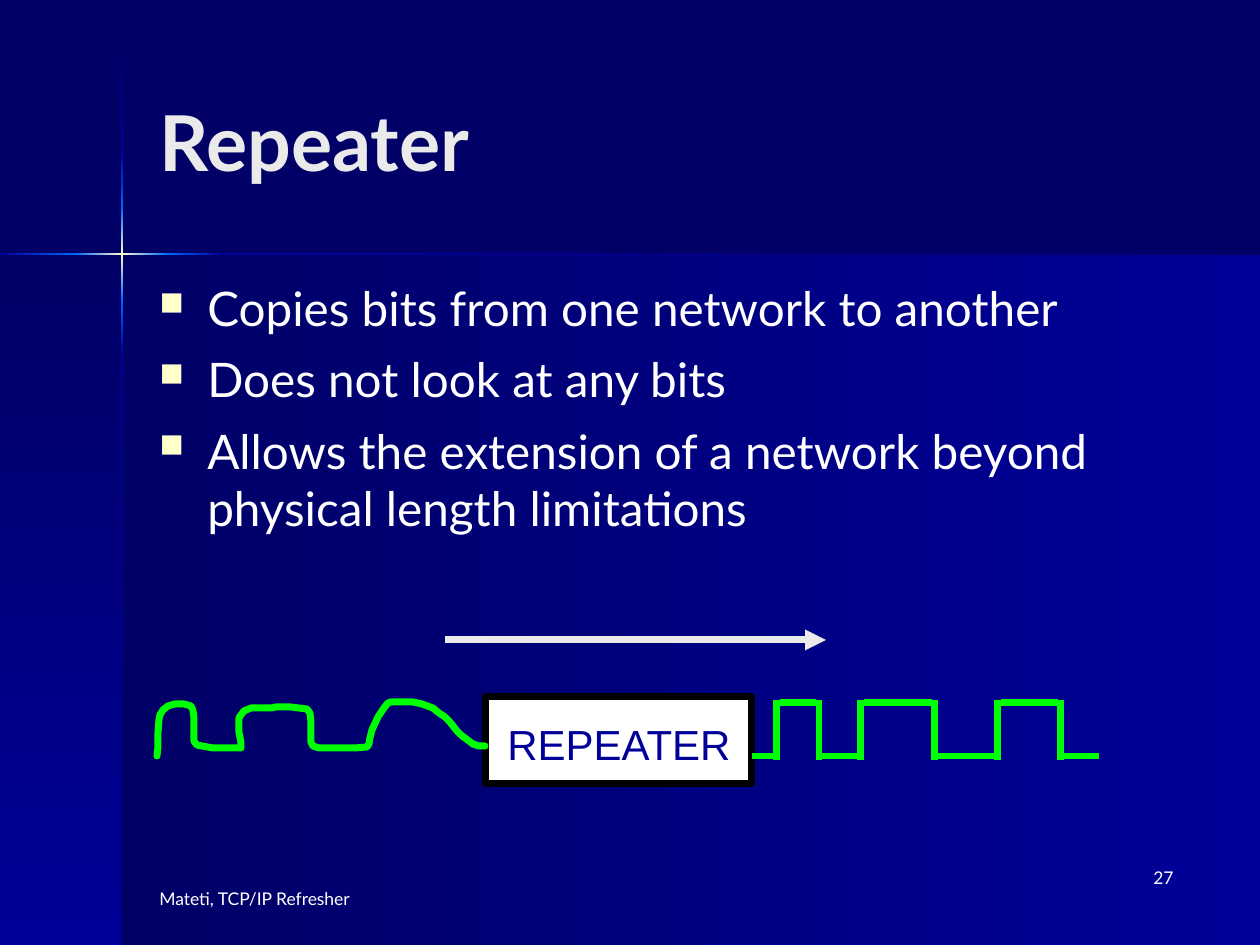
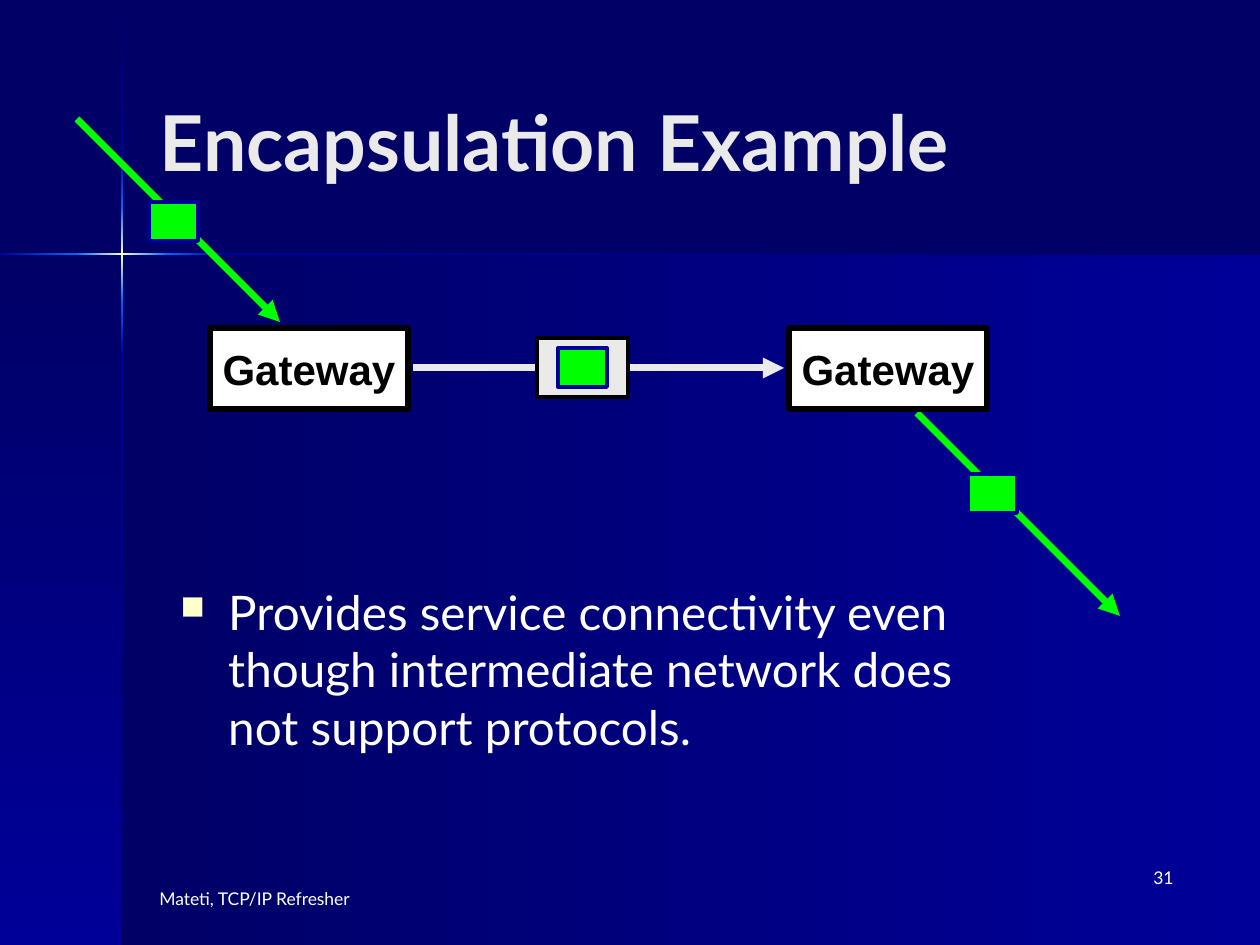
"""Build the repeater and encapsulation slides of a networking deck."""
from dataclasses import dataclass

from pptx import Presentation, util as u
from pptx.dml.color import RGBColor
from pptx.enum import shapes, text
from pptx.oxml import ns, parse_xml


@dataclass(frozen=True)
class Theme:
    night: str = "000066"
    navy: str = "000099"
    glow: str = "0066FF"
    cream: str = "FFFFCC"
    pale: str = "EAEAEA"
    white: str = "FFFFFF"
    black: str = "000000"
    green: str = "00FF00"
    font: str = "Lato"
    label_font: str = "Arial"
    title: float = 44
    body: float = 27.2
    label: float = 24
    small: float = 10
    stroke: float = 4


T = Theme()
PX = u.Inches(1) / 126


def box(s, at, fill=None, edge=T.black, weight=2, lines=(), size=T.label, font=T.font,
        color=T.white, bold=False, align=text.PP_ALIGN.LEFT, wrap=True, bullet=False):
    at = [round(v * PX) for v in at]
    if fill:
        sp = s.shapes.add_shape(shapes.MSO_SHAPE.RECTANGLE, *at)
        sp.shadow.inherit = False
        sp.fill.solid()
        sp.fill.fore_color.rgb = RGBColor.from_string(fill)
        sp.line.color.rgb = RGBColor.from_string(edge)
        sp.line.width = u.Pt(weight)
    else:
        sp = s.shapes.add_textbox(*at)
    if not lines:
        return
    tf = sp.text_frame
    tf.word_wrap = wrap
    tf.text = "\n".join(lines)
    for p in tf.paragraphs:
        p.alignment = align
        f = p.runs[0].font
        f.size, f.name, f.bold = u.Pt(size), font, bold
        f.color.rgb = RGBColor.from_string(color)
        if bullet:
            p.space_before = u.Pt(8)
            pPr = p._p.get_or_add_pPr()
            pPr.set("marL", str(u.Inches(0.38)))
            pPr.set("indent", str(-u.Inches(0.38)))
            for xml in (f'<a:buClr {A}><a:srgbClr val="{T.cream}"/></a:buClr>',
                        f'<a:buSzPct {A} val="70000"/>', f'<a:buChar {A} char="■"/>'):
                pPr.append(parse_xml(xml))


def line(s, x1, y1, x2, y2, color=T.green, arrow=False):
    ends = [round(v * PX) for v in (x1, y1, x2, y2)]
    cn = s.shapes.add_connector(shapes.MSO_CONNECTOR.STRAIGHT, *ends)
    cn.line.color.rgb = RGBColor.from_string(color)
    cn.line.width = u.Pt(T.stroke)
    spPr = cn.element.spPr
    if arrow:
        spPr.find(ns.qn("a:ln")).append(parse_xml(f'<a:tailEnd {A} type="triangle"/>'))
    spPr.append(parse_xml(f"<a:effectLst {A}/>"))


A = ns.nsdecls("a")
DOWN, LEFTWARD = 90, 180
BANDS = [
    ((122, 255, 1138, 690), (T.navy, T.night), LEFTWARD),
    ((0, 255, 122, 690), (T.night, T.navy), DOWN),
    ((121, 1, 2, 151), (T.night, T.navy), DOWN),
    ((121, 355, 2, 590), (T.navy, T.night), DOWN),
    ((223, 253, 1037, 2), (T.night, T.navy), LEFTWARD),
    ((121, 300, 2, 55), (T.glow, T.navy), DOWN),
    ((121, 152, 2, 56), (T.navy, T.glow), DOWN),
    ((121, 208, 2, 92), (T.glow, T.cream, T.glow), DOWN),
    ((0, 253, 76, 2), (T.glow, T.navy), LEFTWARD),
    ((168, 253, 55, 2), (T.navy, T.glow), LEFTWARD),
    ((76, 253, 92, 2), (T.glow, T.cream, T.glow), LEFTWARD),
]

prs = Presentation()
prs.slide_width, prs.slide_height = u.Inches(10), u.Inches(7.5)
master = prs.slide_master
master.background.fill.solid()
master.background.fill.fore_color.rgb = RGBColor.from_string(T.night)

slides = []
for title, number in (("Repeater", "27"), ("Encapsulation Example", "31")):
    s = prs.slides.add_slide(prs.slide_layouts[5])
    slides.append(s)
    sp = s.shapes.title
    sp.left, sp.top, sp.width, sp.height = [round(v * PX) for v in (147, 42, 1040, 198)]
    tf = sp.text_frame
    tf.text = title
    tf.auto_size = text.MSO_AUTO_SIZE.NONE
    tf.vertical_anchor = text.MSO_ANCHOR.MIDDLE
    p = tf.paragraphs[0]
    p.alignment = text.PP_ALIGN.LEFT
    f = p.runs[0].font
    f.size, f.name, f.bold = u.Pt(T.title), T.font, True
    f.color.rgb = RGBColor.from_string(T.pale)
    box(s, (147, 882, 336, 63), lines=["Mateti, TCP/IP Refresher"], size=T.small)
    box(s, (924, 861, 262, 63), lines=[number], size=T.small, align=text.PP_ALIGN.RIGHT)

repeater, encapsulation = slides

for i, (at, colors, angle) in enumerate(BANDS):
    sp = repeater.shapes.add_shape(shapes.MSO_SHAPE.RECTANGLE, *[round(v * PX) for v in at])
    sp.shadow.inherit = False
    sp.line.fill.background()
    sp.fill.gradient()
    stops = "".join(f'<a:gs pos="{100000 * n // (len(colors) - 1)}"><a:srgbClr val="{c}"/></a:gs>'
                    for n, c in enumerate(colors))
    spPr = sp.element.spPr
    spPr.replace(spPr.find(ns.qn("a:gradFill")), parse_xml(
        f'<a:gradFill {A} rotWithShape="1"><a:gsLst>{stops}</a:gsLst>'
        f'<a:lin ang="{angle * 60000}" scaled="0"/></a:gradFill>'))
    master.shapes.element.insert(2 + i, sp.element)

s = repeater
box(s, (147, 273, 1040, 315), size=T.body, bullet=True, lines=[
    "Copies bits from one network to another",
    "Does not look at any bits",
    "Allows the extension of a network beyond physical length limitations"])
box(s, (486, 697, 266, 87), T.white, weight=T.stroke)
box(s, (495, 712, 252, 63), lines=["REPEATER"], font=T.label_font, color=T.navy, wrap=False)

WORN_SIGNAL = [
    (157, 756), (158, 747), (158, 733), (159, 720), (160, 715), (163, 710), (168, 706),
    (175, 704), (184, 704), (191, 706), (193, 710), (194, 717), (194, 741), (197, 745),
    (202, 746), (213, 748), (241, 748), (241, 742), (239, 732), (239, 718), (241, 715),
    (244, 711), (251, 708), (271, 708), (276, 707), (290, 707), (307, 709), (310, 713),
    (311, 721), (311, 742), (313, 746), (319, 748), (355, 748), (367, 747), (369, 744),
    (370, 738), (372, 730), (378, 717), (384, 708), (388, 703), (391, 702), (413, 702),
    (422, 704), (433, 708), (439, 713), (445, 717), (450, 722), (457, 731), (461, 735),
    (473, 744), (479, 746), (485, 746)]
fb = s.shapes.build_freeform(*WORN_SIGNAL[0], scale=PX)
fb.add_line_segments(WORN_SIGNAL[1:], close=False)
sp = fb.convert_to_shape()
sp.shadow.inherit = False
sp.fill.background()
sp.line.color.rgb = RGBColor.from_string(T.green)
sp.line.width = u.Pt(T.stroke)
ln = sp.element.spPr.find(ns.qn("a:ln"))
ln.set("cap", "rnd")
ln.append(parse_xml(f"<a:round {A}/>"))

HIGH, LOW = 703, 756
edges = [777, 819, 861, 935, 998, 1061]
line(s, 780, LOW, 752, LOW)
for i, (x, after) in enumerate(zip(edges, edges[1:] + [1102])):
    level = LOW if i % 2 else HIGH
    line(s, x, 760, x, 700)
    line(s, x + 3, level, after - 3, level)
line(s, 445, 640, 826, 640, T.pale, arrow=True)

s = encapsulation
line(s, 77, 119, 280, 322, arrow=True)
line(s, 917, 413, 1120, 616, arrow=True)
line(s, 413, 368, 784, 368, T.pale, arrow=True)
for x in (210, 789):
    box(s, (x, 328, 198, 81), T.white, weight=3, lines=["Gateway"], font=T.label_font,
        color=T.black, bold=True, align=text.PP_ALIGN.CENTER, wrap=False)
box(s, (537, 338, 91, 59), T.pale)
for x, y in ((149, 202), (968, 474), (558, 348)):
    box(s, (x, y, 49, 39), T.green, T.navy, 2.24)
box(s, (168, 577, 857, 231), size=T.body, bullet=True, lines=[
    "Provides service connectivity even though intermediate network does not support protocols."])

prs.save("out.pptx")
